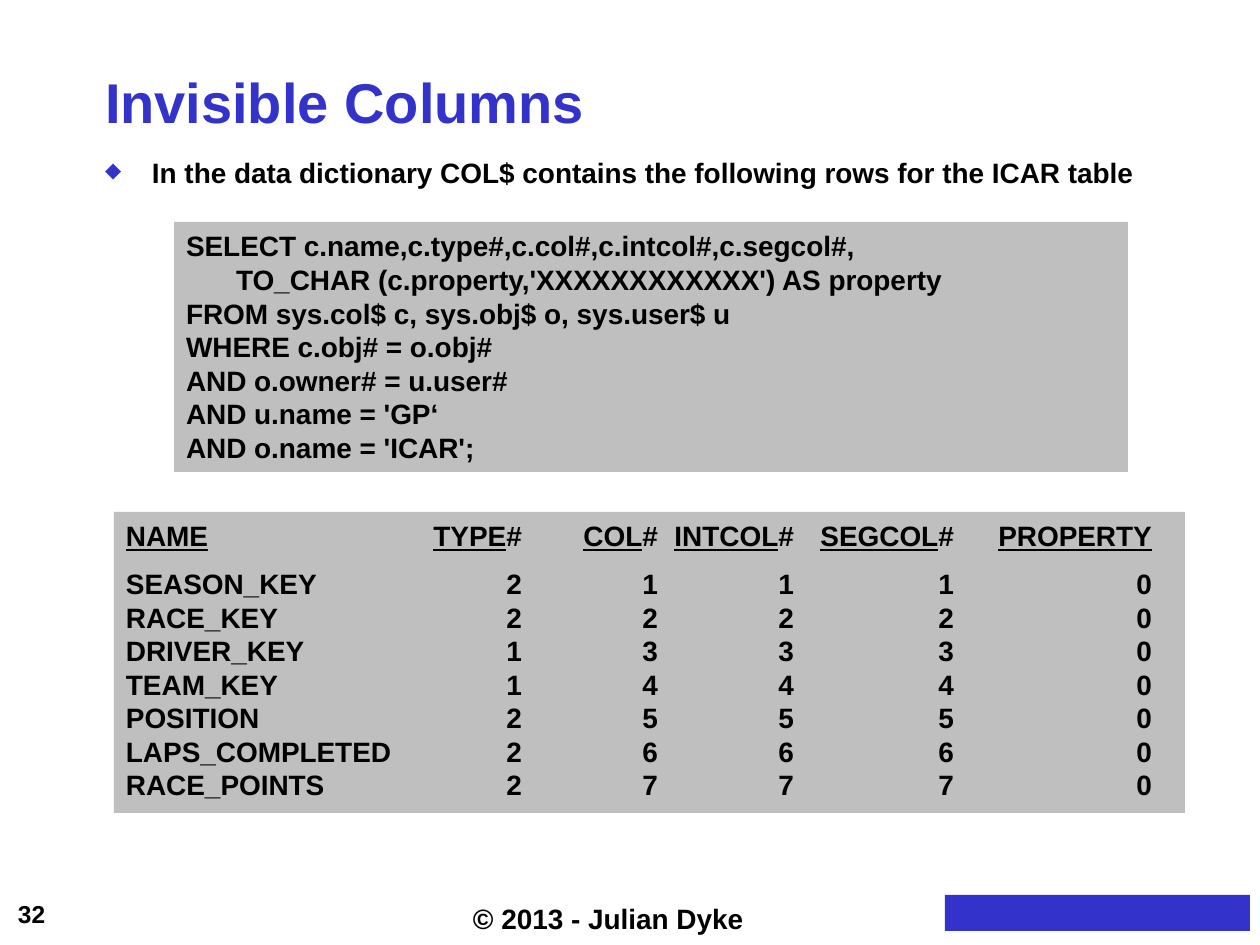
import pptx
import pptx.dml.color
import pptx.enum.shapes
import pptx.enum.text
import pptx.oxml.ns
import pptx.util
from lxml import etree

ALIGN = pptx.enum.text.PP_ALIGN
ANCHOR = pptx.enum.text.MSO_ANCHOR
BLUE, BLACK, GREY = "3333CC", "000000", "BFBFBF"
CODE_TABS = [(50, "l"), (296, "l")]
RESULT_TABS = [(x, "r") for x in (396, 532, 668, 828, 1026)]

QUERY = [
    "SELECT c.name,c.type#,c.col#,c.intcol#,c.segcol#,",
    "\tTO_CHAR (c.property,'XXXXXXXXXXXX') AS property",
    "FROM sys.col$ c, sys.obj$ o, sys.user$ u",
    "WHERE c.obj# = o.obj#",
    "AND o.owner# = u.user#",
    "AND u.name = 'GP‘",
    "AND o.name = 'ICAR';",
]
HEADINGS = ["NAME", "TYPE#", "COL#", "INTCOL#", "SEGCOL#", "PROPERTY"]
COLUMN_TYPES = [
    ("SEASON_KEY", 2), ("RACE_KEY", 2), ("DRIVER_KEY", 1), ("TEAM_KEY", 1),
    ("POSITION", 2), ("LAPS_COMPLETED", 2), ("RACE_POINTS", 2),
]


def px(n):
    return pptx.util.Emu(round(n * 914400 / 126))


def color(value):
    return pptx.dml.color.RGBColor.from_string(value)


def add_text(p, text, size=16, font="Arial", fill=BLACK, underline=None):
    r = p.add_run()
    r.text = text
    r.font.size = pptx.util.Pt(size)
    r.font.name = font
    r.font.bold = True
    r.font.underline = underline
    r.font.color.rgb = color(fill)


def set_frame(sp, insets, anchor=ANCHOR.TOP):
    tf = sp.text_frame
    tf.word_wrap = True
    tf.vertical_anchor = anchor
    tf.margin_left, tf.margin_top, tf.margin_right, tf.margin_bottom = map(px, insets)
    return tf


def add_box(slide, box, insets, anchor=ANCHOR.TOP):
    sp = slide.shapes.add_textbox(*map(px, box))
    return set_frame(sp, insets, anchor).paragraphs[0]


def add_rect(slide, box, fill):
    sp = slide.shapes.add_shape(pptx.enum.shapes.MSO_SHAPE.RECTANGLE, *map(px, box))
    sp.shadow.inherit = False
    sp.fill.solid()
    sp.fill.fore_color.rgb = color(fill)
    sp.line.fill.background()
    return sp


def add_panel(slide, box):
    return set_frame(add_rect(slide, box, GREY), (12, 7, 12, 6))


def add_child(parent, tag, **attrs):
    return etree.SubElement(parent, pptx.oxml.ns.qn(tag), **attrs)


def add_line(tf, index, tabs):
    p = tf.add_paragraph() if index else tf.paragraphs[0]
    p.alignment = ALIGN.LEFT
    p.line_spacing = pptx.util.Pt(19.2)
    tab_list = add_child(p._p.get_or_add_pPr(), "a:tabLst")
    for x, side in tabs:
        add_child(tab_list, "a:tab", pos=str(px(x)), algn=side)
    return p


def add_title(slide, box):
    p = add_box(slide, box, (0, 6, 0, 0), anchor=ANCHOR.BOTTOM)
    add_text(p, "Invisible Columns", size=32, fill=BLUE)


def add_bullet(slide, box):
    p = add_box(slide, box, (0, 0, 13, 6))
    p.line_spacing = pptx.util.Pt(19.2)
    pPr = p._p.get_or_add_pPr()
    pPr.set("marL", str(px(47)))
    pPr.set("indent", str(px(-47)))
    add_child(add_child(pPr, "a:buClr"), "a:srgbClr", val=BLUE)
    add_child(pPr, "a:buSzPct", val="75000")
    add_child(pPr, "a:buChar", char="◆")
    add_text(p, "In the data dictionary COL$ contains the following rows for the ICAR table")


def add_query(slide, box):
    tf = add_panel(slide, box)
    for i, line in enumerate(QUERY):
        add_text(add_line(tf, i, CODE_TABS), line)


def add_result(slide, box):
    tf = add_panel(slide, box)
    p = add_line(tf, 0, RESULT_TABS)
    for i, heading in enumerate(HEADINGS):
        if i:
            add_text(p, "\t")
        name = heading.rstrip("#")
        add_text(p, name, underline=True)
        if name != heading:
            add_text(p, "#")
    for i, (name, kind) in enumerate(COLUMN_TYPES, 1):
        p = add_line(tf, i, RESULT_TABS)
        if i == 1:
            p.space_before = pptx.util.Pt(8)
        add_text(p, "\t".join(map(str, (name, kind, i, i, i, 0))))


def add_footer(slide, left, top):
    add_rect(slide, (left + 945, top + 5, 305, 36), BLUE)
    p = add_box(slide, (left + 5, top + 3, 53, 42), (13, 6, 0, 6), anchor=ANCHOR.MIDDLE)
    add_text(p, "32", size=14)
    p = add_box(slide, (left + 460, top + 9, 309, 39), (13, 3, 13, 3))
    add_text(p, "© 2013 - Julian Dyke")


def main():
    prs = pptx.Presentation()
    prs.slide_width, prs.slide_height = px(1260), px(945)
    slide = prs.slides.add_slide(prs.slide_layouts[6])
    add_footer(slide, 0, 890)
    add_title(slide, (105, 10, 1103, 125))
    add_bullet(slide, (105, 156, 1103, 733))
    add_query(slide, (174, 222, 954, 250))
    add_result(slide, (114, 512, 1071, 301))
    prs.save("out.pptx")


if __name__ == "__main__":
    main()
